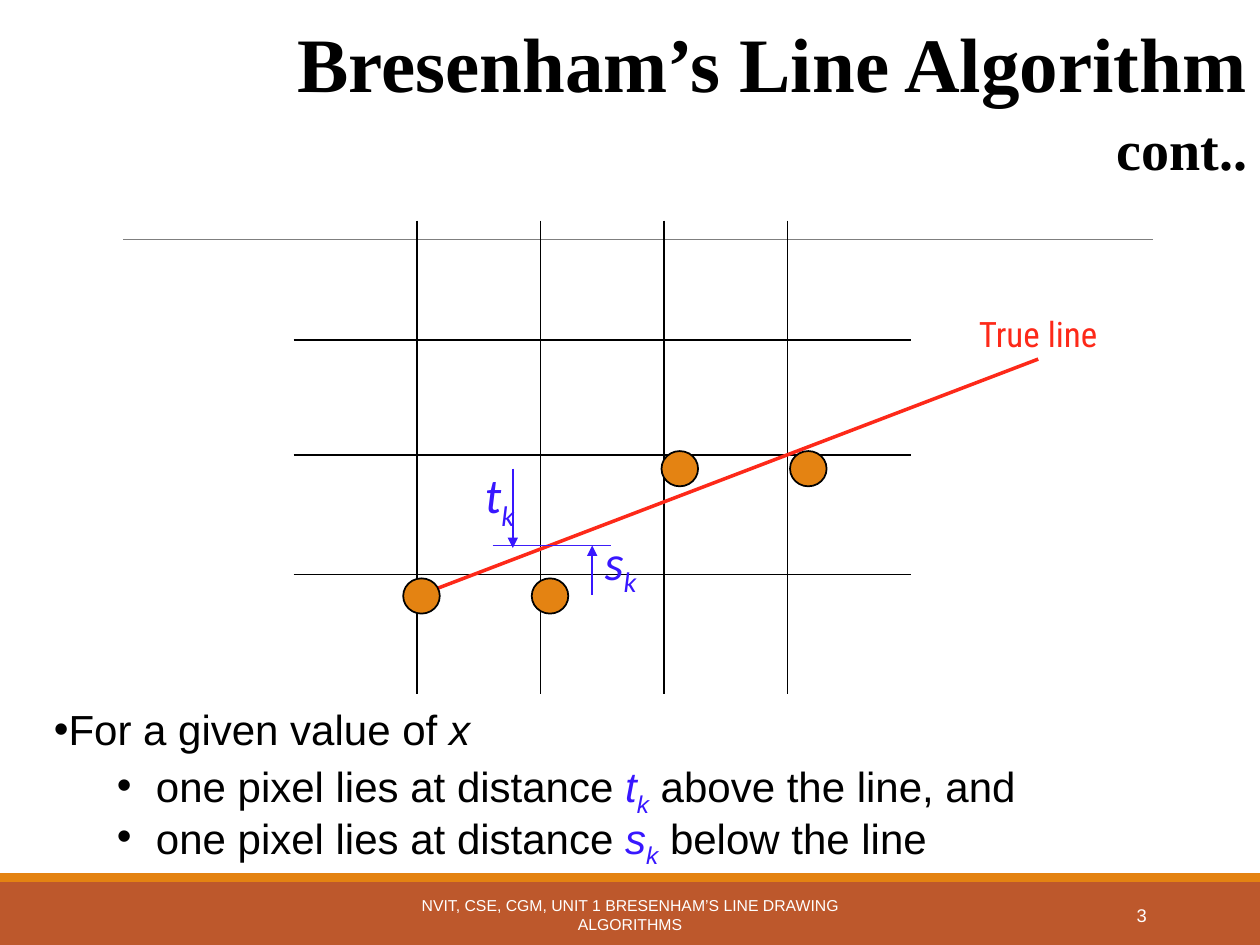
from lxml import etree
from pptx import Presentation
from pptx.dml.color import RGBColor
from pptx.enum import shapes, text
from pptx.oxml.ns import qn
from pptx.util import Inches, Pt

BLACK = RGBColor(0x00, 0x00, 0x00)
WHITE = RGBColor(0xFF, 0xFF, 0xFF)
RUST = RGBColor(0xBD, 0x58, 0x2C)
ORANGE = RGBColor(0xE4, 0x83, 0x12)
GRAY = RGBColor(0x7F, 0x7F, 0x7F)
RED = RGBColor(0xFD, 0x29, 0x19)
BLUE = RGBColor(0x38, 0x17, 0xFF)
LEVEL_BLUE = RGBColor(0x3D, 0x1E, 0xF8)
NO_STYLE = "{2D5ABB26-0587-4C30-8999-92F81FD0307C}"

presentation = Presentation()
presentation.slide_width = Inches(10)
presentation.slide_height = Inches(7.5)
slide = presentation.slides.add_slide(presentation.slide_layouts[6])


def add_line(x1, y1, x2, y2, color, width, arrow=False):
    line = slide.shapes.add_connector(
        shapes.MSO_CONNECTOR.STRAIGHT, Inches(x1), Inches(y1), Inches(x2), Inches(y2))
    line.line.color.rgb = color
    line.line.width = Pt(width)
    properties = line._element.spPr
    if arrow:
        etree.SubElement(properties.find(qn("a:ln")), qn("a:tailEnd"), type="triangle")
    etree.SubElement(properties, qn("a:effectLst"))


def add_text(left, top, width, height, paragraphs, size, font, color,
             align=text.PP_ALIGN.LEFT, anchor=text.MSO_ANCHOR.TOP):
    """Add a text box; each paragraph is a list of (text, style) pairs.

    Styles: "" plain, "i" italic, "v" blue italic, "k" blue italic subscript.
    """
    box = slide.shapes.add_textbox(Inches(left), Inches(top), Inches(width), Inches(height))
    frame = box.text_frame
    frame.word_wrap = True
    frame.vertical_anchor = anchor
    for index, pieces in enumerate(paragraphs):
        paragraph = frame.add_paragraph() if index else frame.paragraphs[0]
        paragraph.alignment = align
        paragraph.font.size = Pt(size)
        paragraph.font.name = font
        paragraph.font.color.rgb = color
        for content, style in pieces:
            run = paragraph.add_run()
            run.text = content
            if style:
                run.font.italic = True
            if style in ("v", "k"):
                run.font.color.rgb = BLUE
            if style == "k":
                run.font._element.set("baseline", "-25000")
    return frame


# Footer bands and title rule
for top, height, color in [(7, 0.5, RUST), (6.93, 0.07, ORANGE)]:
    band = slide.shapes.add_shape(
        shapes.MSO_SHAPE.RECTANGLE, 0, Inches(top), Inches(10), Inches(height))
    band.shadow.inherit = False
    band.fill.solid()
    band.fill.fore_color.rgb = color
    band.line.fill.background()
add_line(0.98, 1.9, 9.15, 1.9, GRAY, 0.75)

# Title
title = add_text(2.17, 0, 7.83, 1.53, [[("Bresenham’s Line Algorithm ", ""), ("cont..", "")]],
                 44, "Times New Roman", BLACK, text.PP_ALIGN.RIGHT).paragraphs[0]
title.font.bold = True
title.line_spacing = 1.1
title.runs[1].font.size = Pt(32)

# Bulleted explanation
body = add_text(0.33, 5.58, 9.33, 1.58, [
    [("For a given value of ", ""), ("x", "i")],
    [("one pixel lies at distance ", ""), ("t", "v"), ("k", "k"), (" above the line, and", "")],
    [("one pixel lies at distance ", ""), ("s", "v"), ("k", "k"), (" below the line", "")],
], 24, "Arial", BLACK)
bullet_layout = [(0, 0, -0.17, 2), (1, 0.81, -0.31, 4), (1, 0.81, -0.31, 0)]
for paragraph, (level, margin, indent, before) in zip(body.paragraphs, bullet_layout):
    paragraph.level = level
    paragraph.line_spacing = 0.9
    paragraph.space_before = Pt(before)
    properties = paragraph._p.get_or_add_pPr()
    properties.set("marL", str(Inches(margin)))
    properties.set("indent", str(Inches(indent)))
    bullet_color = etree.Element(qn("a:buClr"))
    etree.SubElement(bullet_color, qn("a:srgbClr"), val=str(BLACK))
    bullet_font = etree.Element(qn("a:buFont"), typeface="Arial")
    bullet = etree.Element(qn("a:buChar"), char="•")
    position = len(properties.findall(qn("a:lnSpc")) + properties.findall(qn("a:spcBef")))
    for offset, element in enumerate([bullet_color, bullet_font, bullet]):
        properties.insert(position + offset, element)

# Pixel grid: a table with inner borders only
row_heights = [0.95, 0.91, 0.95, 0.95]
column_count = 5
grid = slide.shapes.add_table(len(row_heights), column_count, Inches(2.33), Inches(1.75),
                              Inches(4.91), Inches(sum(row_heights))).table
grid._tbl.tblPr.find(qn("a:tableStyleId")).text = NO_STYLE
grid.first_row = False
grid.horz_banding = False
for column in grid.columns:
    column.width = Inches(0.98)
for row_index, height in enumerate(row_heights):
    grid.rows[row_index].height = Inches(height)
    for column_index in range(column_count):
        cell = grid.cell(row_index, column_index)
        inner_sides = [
            ("a:lnL", column_index > 0),
            ("a:lnR", column_index < column_count - 1),
            ("a:lnT", row_index > 0),
            ("a:lnB", row_index < len(row_heights) - 1),
        ]
        properties = cell._tc.get_or_add_tcPr()
        for side, is_inner in inner_sides:
            border = etree.SubElement(properties, qn(side), w=str(Pt(1)))
            if is_inner:
                border_fill = etree.SubElement(border, qn("a:solidFill"))
                etree.SubElement(border_fill, qn("a:srgbClr"), val=str(BLACK))
            else:
                etree.SubElement(border, qn("a:noFill"))
        cell.fill.background()

# True line and distance labels
add_line(3.34, 4.72, 8.24, 2.85, RED, 2)
add_text(7.67, 2.43, 1.21, 0.43, [[("True line", "")]], 20, "Roboto Condensed", RED)
for letter, left, top, width in [("s", 4.7, 4.17, 0.47), ("t", 3.75, 3.64, 0.45)]:
    add_text(left, top, width, 0.57, [[(letter, "v"), ("k", "k")]], 28, "Calibri", BLUE)

# Distance markers
add_line(3.91, 4.33, 4.85, 4.33, LEVEL_BLUE, 1)
add_line(4.07, 3.72, 4.07, 4.35, BLUE, 1, arrow=True)
add_line(4.7, 4.72, 4.7, 4.33, BLUE, 1, arrow=True)

# Pixels
for left, top in [(3.2, 4.59), (4.22, 4.59), (5.25, 3.58), (6.27, 3.58)]:
    pixel = slide.shapes.add_shape(
        shapes.MSO_SHAPE.OVAL, Inches(left), Inches(top), Inches(0.29), Inches(0.28))
    pixel.shadow.inherit = False
    pixel.fill.solid()
    pixel.fill.fore_color.rgb = ORANGE
    pixel.line.color.rgb = BLACK
    pixel.line.width = Pt(1)

# Footer and slide number
add_text(3.02, 7.06, 3.96, 0.4,
         [[("NVIT, CSE, CGM, UNIT 1 BRESENHAM’S LINE DRAWING ALGORITHMS", "")]],
         9, "Arial", WHITE, text.PP_ALIGN.CENTER, text.MSO_ANCHOR.MIDDLE)
add_text(8.12, 7.06, 1.08, 0.4, [[("3", "")]],
         10.5, "Arial", WHITE, text.PP_ALIGN.RIGHT, text.MSO_ANCHOR.MIDDLE)

presentation.save("out.pptx")
